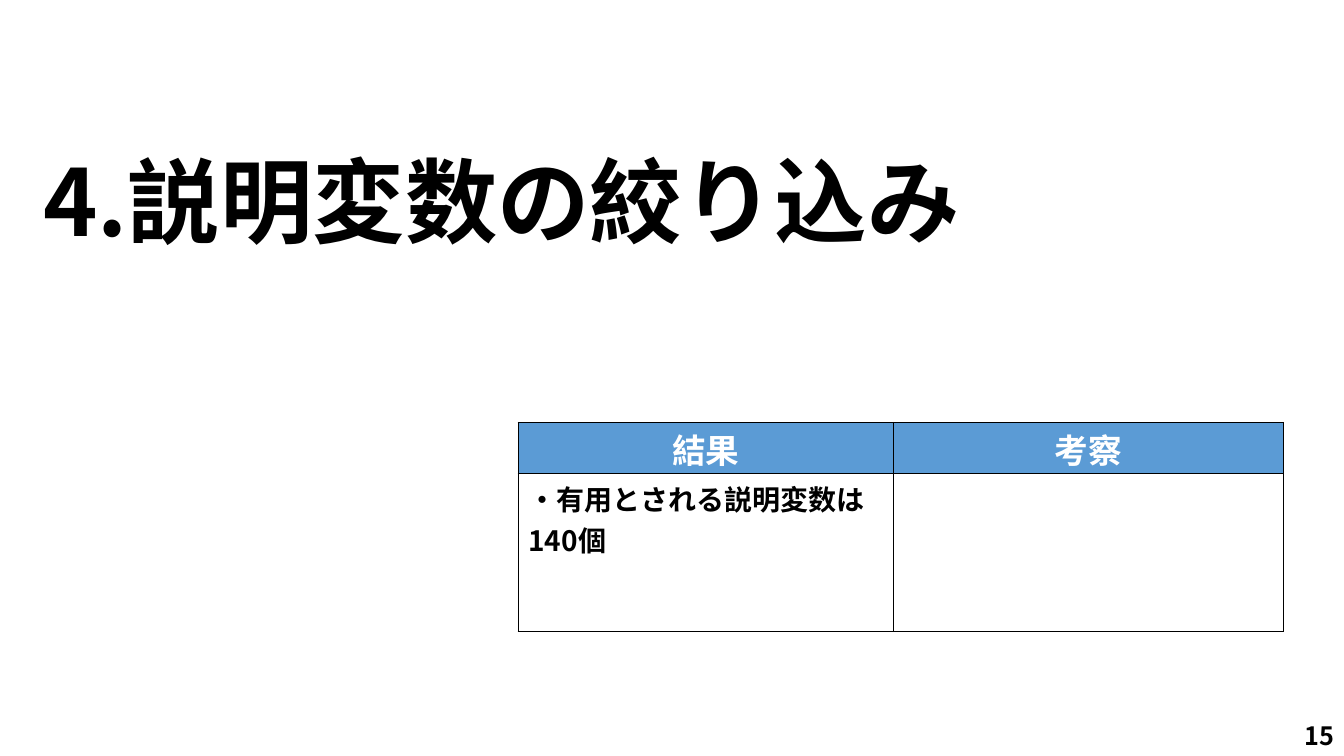
import dataclasses

import pptx
import pptx.dml.color
import pptx.enum.text
import pptx.oxml.ns
import pptx.util
from lxml import etree

Inches = pptx.util.Inches
Align = pptx.enum.text.PP_ALIGN
Anchor = pptx.enum.text.MSO_ANCHOR
qn = pptx.oxml.ns.qn


@dataclasses.dataclass(frozen=True)
class Theme:
    font: str = "Noto Sans CJK JP"
    ink: str = "000000"
    paper: str = "FFFFFF"
    header: str = "5B9BD5"
    title_size: int = 66
    header_size: int = 24
    body_size: int = 20
    number_size: int = 18
    border_width: int = 1


THEME = Theme()


def rgb(value):
    return pptx.dml.color.RGBColor.from_string(value)


def write(frame, text, size, color=THEME.ink, align=Align.LEFT):
    """Set one paragraph of bold text in the theme font."""
    frame.word_wrap = True
    frame.text = text
    para = frame.paragraphs[0]
    para.alignment = align
    for span in para.runs:
        span.font.name = THEME.font
        span.font.size = pptx.util.Pt(size)
        span.font.bold = True
        span.font.color.rgb = rgb(color)
        east_asian = etree.SubElement(span.font._element, qn("a:ea"))
        east_asian.set("typeface", THEME.font)


def add_title(page, text):
    title = page.shapes.title
    title.left, title.top = Inches(0.33), Inches(1.55)
    title.width, title.height = Inches(9.48), Inches(1.21)
    frame = title.text_frame
    write(frame, text, THEME.title_size)
    frame.auto_size = pptx.enum.text.MSO_AUTO_SIZE.NONE
    frame.vertical_anchor = Anchor.TOP
    frame.paragraphs[0].line_spacing = 0.85


def draw_borders(cell):
    properties = cell._tc.get_or_add_tcPr()
    for position, side in enumerate(("a:lnL", "a:lnR", "a:lnT", "a:lnB")):
        line = etree.Element(qn(side), w=str(pptx.util.Pt(THEME.border_width)))
        fill = etree.SubElement(line, qn("a:solidFill"))
        etree.SubElement(fill, qn("a:srgbClr"), val=THEME.ink)
        properties.insert(position, line)


def add_findings_table(page, headers, body):
    widths, heights = (3.72, 3.87), (0.5, 1.57)
    table = page.shapes.add_table(
        2, 2, Inches(5.14), Inches(4.19),
        Inches(sum(widths)), Inches(sum(heights))).table
    for column, width in zip(table.columns, widths):
        column.width = Inches(width)
    for row, height in zip(table.rows, heights):
        row.height = Inches(height)

    # Header row
    for cell, text in zip(table.rows[0].cells, headers):
        cell.margin_top, cell.margin_bottom = Inches(0.02), Inches(0)
        write(cell.text_frame, text, THEME.header_size, THEME.paper, Align.CENTER)
        cell.fill.solid()
        cell.fill.fore_color.rgb = rgb(THEME.header)

    # Body row
    for cell, text in zip(table.rows[1].cells, body):
        write(cell.text_frame, text, THEME.body_size)
        cell.fill.background()

    for cell in table.iter_cells():
        draw_borders(cell)


def add_page_number(page, text):
    box = page.shapes.add_textbox(Inches(10.33), Inches(7.1), Inches(3), Inches(0.4))
    write(box.text_frame, text, THEME.number_size, align=Align.RIGHT)
    box.text_frame.vertical_anchor = Anchor.MIDDLE


def main():
    deck = pptx.Presentation()
    deck.slide_width, deck.slide_height = Inches(13.33), Inches(7.5)
    page = deck.slides.add_slide(deck.slide_layouts.get_by_name("Title Only"))
    page.background.fill.solid()
    page.background.fill.fore_color.rgb = rgb(THEME.paper)

    add_title(page, "4.説明変数の絞り込み")
    add_findings_table(page, ("結果", "考察"), ("・有用とされる説明変数は140個", ""))
    add_page_number(page, "15")
    deck.save("out.pptx")


if __name__ == "__main__":
    main()
